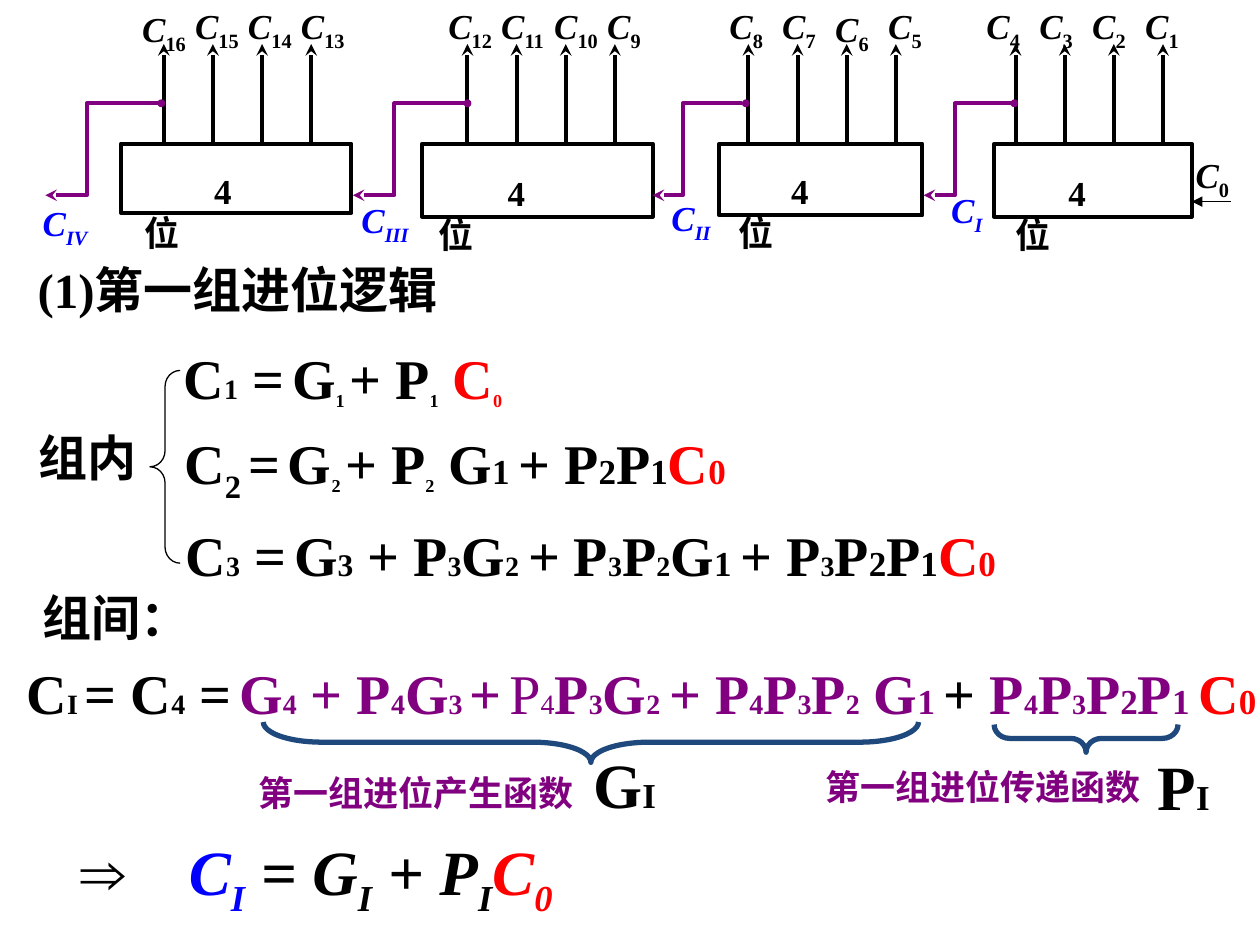
from dataclasses import dataclass

from lxml import etree
from pptx import Presentation
from pptx.dml.color import RGBColor
from pptx.enum.shapes import MSO_CONNECTOR as CONN, MSO_SHAPE as SHAPE
from pptx.oxml.ns import qn
from pptx.util import Inches, Pt


@dataclass(frozen=True)
class Theme:
    font: str = "Times New Roman"
    black: str = "000000"
    red: str = "FF0000"
    blue: str = "0000FF"
    purple: str = "800080"
    navy: str = "1F497D"
    label: int = 20
    heading: int = 28
    result: int = 36
    thin: float = 0.75
    medium: float = 2.25
    thick: float = 3


T = Theme()
STYLES = {
    "B": (32, 0), "s": (16, 0), "m": (18, 0), "t": (20, 0),
    "_": (18, -25), "d": (32, -25), "R": (T.result, 0), "r": (T.result, -25),
    "L": (T.label, 0), "l": (T.label, -25), "H": (T.heading, 0),
}


@dataclass(frozen=True)
class Adder:
    top: int
    labels: float
    arrows: float
    box: tuple
    caption: tuple
    carry: tuple
    name: str
    name_at: tuple


ADDERS = [
    Adder(16, 1.03, 1.3, (0.96, 1.14, 1.83, 0.55), (1.05, 1.3, 0.55),
          (1.28, 0.69, 0.36), "IV", (0.24, 1.55, 0.82, 0.43)),
    Adder(12, 3.46, 3.71, (3.35, 1.14, 1.83, 0.58), (3.38, 1.31, 0.55),
          (3.71, 3.13, 2.8), "III", (2.77, 1.53, 0.82, 0.43)),
    Adder(8, 5.69, 5.94, (5.71, 1.14, 1.61, 0.57), (5.76, 1.3, 0.42),
          (5.92, 5.42, 5.18), "II", (5.23, 1.51, 0.58, 0.43)),
    Adder(4, 7.73, 8.06, (7.89, 1.14, 1.57, 0.58), (7.96, 1.31, 0.42),
          (8.05, 7.58, 7.33), "I", (7.45, 1.45, 0.58, 0.43)),
]

EQUATIONS = [
    ((1.36, 2.68, 2.88, 0.63),
     "BC|s1|B =|m |BG|_1 |B+ P|_1|B |@red|BC|_0"),
    ((1.31, 3.35, 4.68, 0.63),
     "s |BC|d2|s |B=|m |BG|_2 |B+ P|_2|B G|t1 |B+ P|t2|BP|t1|@red|BC|t0"),
    ((1.32, 4.08, 6.8, 0.63),
     "s |BC|s3|B =|m |BG|m3|B + P|s3|BG|s2|t |B+ P|s3|BP|s2|BG|t1 |B+ P|s3|BP|t2"
     "|BP|t1|@red|BC|t0"),
    ((4.61, 5.87, 0.72, 0.7), "RG|tI"),
    ((9.09, 5.88, 0.66, 0.7), "RP|tI"),
]
GROUP_CARRY = (
    "B C|sI |B= C|s4|B =|m |@purple|BG|s4|B + P|s4|BG|s3 |B+|@light|m |BP|s4|@bold"
    "|BP|s3|BG|s2|t |B+ P|s4|BP|s3|BP|s2|B G|t1 |@black|B+ |@purple|BP|s4|BP|s3"
    "|BP|t2|BP|t1 |@red|BC|t0")

HEADINGS = [
    ((0.2, 2.01, 4.02, 0.57), "H(1)第一组进位逻辑"),
    ((0.21, 3.34, 2.36, 0.57), "H组内"),
    ((0.24, 4.61, 2.36, 0.57), "H组间："),
    ((1.95, 6.07, 3.52, 0.44), "@purple|L第一组进位产生函数"),
    ((6.45, 6.03, 3.27, 0.44), "@purple|L第一组进位传递函数"),
]


def rgb(color):
    return RGBColor.from_string(color)


def add_text(s, at, markup, wrap=False, italic=False):
    tf = s.shapes.add_textbox(*map(Inches, at)).text_frame
    tf.word_wrap = wrap
    p = tf.paragraphs[0]
    p.font.name, p.font.bold = T.font, True
    color, bold = T.black, True
    for piece in markup.split("|"):
        code, text = piece[0], piece[1:]
        if code == "@":
            if text in ("light", "bold"):
                bold = text == "bold"
            else:
                color = getattr(T, text)
            continue
        size, base = STYLES[code]
        r = p.add_run()
        r.text = text
        r.font.name, r.font.size = T.font, Pt(size)
        r.font.bold = bold
        r.font.italic = italic and not (code == "l" and text.isdigit())
        r.font.color.rgb = rgb(color)
        if base:
            r.font._element.set("baseline", str(base * 1000))
    return tf


def style_line(sp, color, width, head=None, tail=None):
    sp.line.color.rgb = rgb(color)
    sp.line.width = Pt(width)
    ln = sp.line._get_or_add_ln()
    for tag, kind in (("a:headEnd", head), ("a:tailEnd", tail)):
        if kind:
            end = etree.SubElement(ln, qn(tag), type=kind)
            if kind == "oval":
                end.set("w", "sm")
                end.set("len", "sm")


def add_outline(s, kind, at, color, width, bend=None, rotation=0):
    sp = s.shapes.add_shape(kind, *map(Inches, at))
    sp.shadow.inherit = False
    sp.fill.background()
    sp.rotation = rotation
    if bend:
        sp.adjustments[0] = bend
    style_line(sp, color, width)


def add_arrow(s, start, end, width, **ends):
    c = s.shapes.add_connector(CONN.STRAIGHT, *map(Inches, start + end))
    style_line(c, T.black, width, **ends)
    etree.SubElement(c._element.spPr, qn("a:effectLst"))


def add_carry(s, right, middle, left):
    top, bottom = Inches(0.82), Inches(1.55)
    right, middle, left = map(Inches, (right, middle, left))
    fb = s.shapes.build_freeform(right, top)
    fb.add_line_segments([(middle, top), (middle, bottom), (left, bottom)], close=False)
    sp = fb.convert_to_shape()
    sp.shadow.inherit = False
    sp.fill.background()
    style_line(sp, T.purple, T.medium, head="oval", tail="stealth")


def add_adder(s, adder):
    x, y, indent = adder.caption
    tf = add_text(s, (x, y, indent + 0.6, 0.77), "L4位", wrap=True)
    tf.margin_right = Inches(0.3)
    tf.paragraphs[0]._p.get_or_add_pPr().set("indent", str(Inches(indent)))
    add_outline(s, SHAPE.RECTANGLE, adder.box, T.black, T.medium)
    for i in range(4):
        bit = adder.top - i
        stem = adder.arrows + 0.39 * i
        add_arrow(s, (stem, 1.15), (stem, 0.35), T.medium, tail="stealth")
        at = (adder.labels + 0.42 * i, 0.01 if bit in (6, 16) else -0.01,
              0.57 if bit > 9 else 0.48, 0.43)
        add_text(s, at, f"LC|l{bit}", italic=True)
    add_carry(s, *adder.carry)
    add_text(s, adder.name_at, f"@blue|LC|l{adder.name}", wrap=True, italic=True)


def add_result(s):
    tf = add_text(s, (0.54, 6.56, 5.07, 0.7),
                  "R⇒\t|@blue|RC|rI|@black|R = G|rI|R + P|rI|@red|RC|r0",
                  wrap=True, italic=True)
    pPr = tf.paragraphs[0]._p.get_or_add_pPr()
    tabs = etree.Element(qn("a:tabLst"))
    etree.SubElement(tabs, qn("a:tab"), pos=str(Inches(0.86)), algn="l")
    pPr.insert(0, tabs)


def main():
    prs = Presentation()
    prs.slide_width, prs.slide_height = Inches(10), Inches(7.5)
    s = prs.slides.add_slide(prs.slide_layouts[6])
    for at, markup in HEADINGS:
        add_text(s, at, markup, wrap=True)
    for at, markup in EQUATIONS:
        add_text(s, at, markup)
    tf = add_text(s, (0.1, 5.18, 10.23, 0.64), GROUP_CARRY)
    tf.margin_left = tf.margin_right = 0
    add_outline(s, SHAPE.LEFT_BRACE, (1.19, 2.94, 0.24, 1.53), T.black, T.thin, 0.53)
    add_outline(s, SHAPE.LEFT_BRACE, (4.53, 3.29, 0.32, 5.2), T.navy, T.thick, 1.45, 270)
    add_outline(s, SHAPE.LEFT_BRACE, (8.51, 5.13, 0.22, 1.46), T.navy, T.thick, 0.56, 270)
    add_result(s)
    for adder in ADDERS:
        add_adder(s, adder)
    add_text(s, (9.39, 1.17, 0.58, 0.43), "LC|l0", wrap=True, italic=True)
    add_arrow(s, (9.46, 1.6), (9.77, 1.6), T.thin, head="triangle")
    prs.save("out.pptx")


main()
